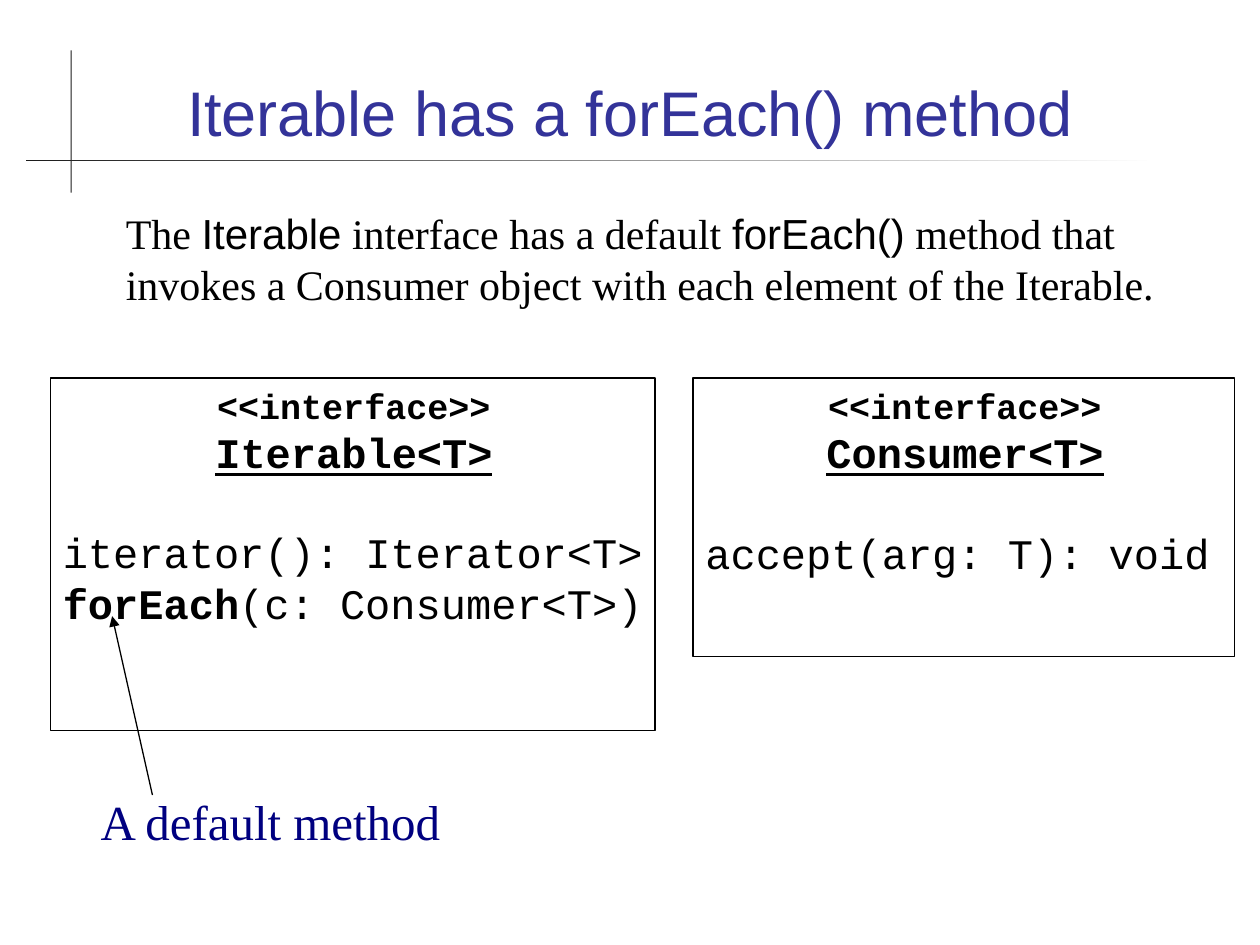
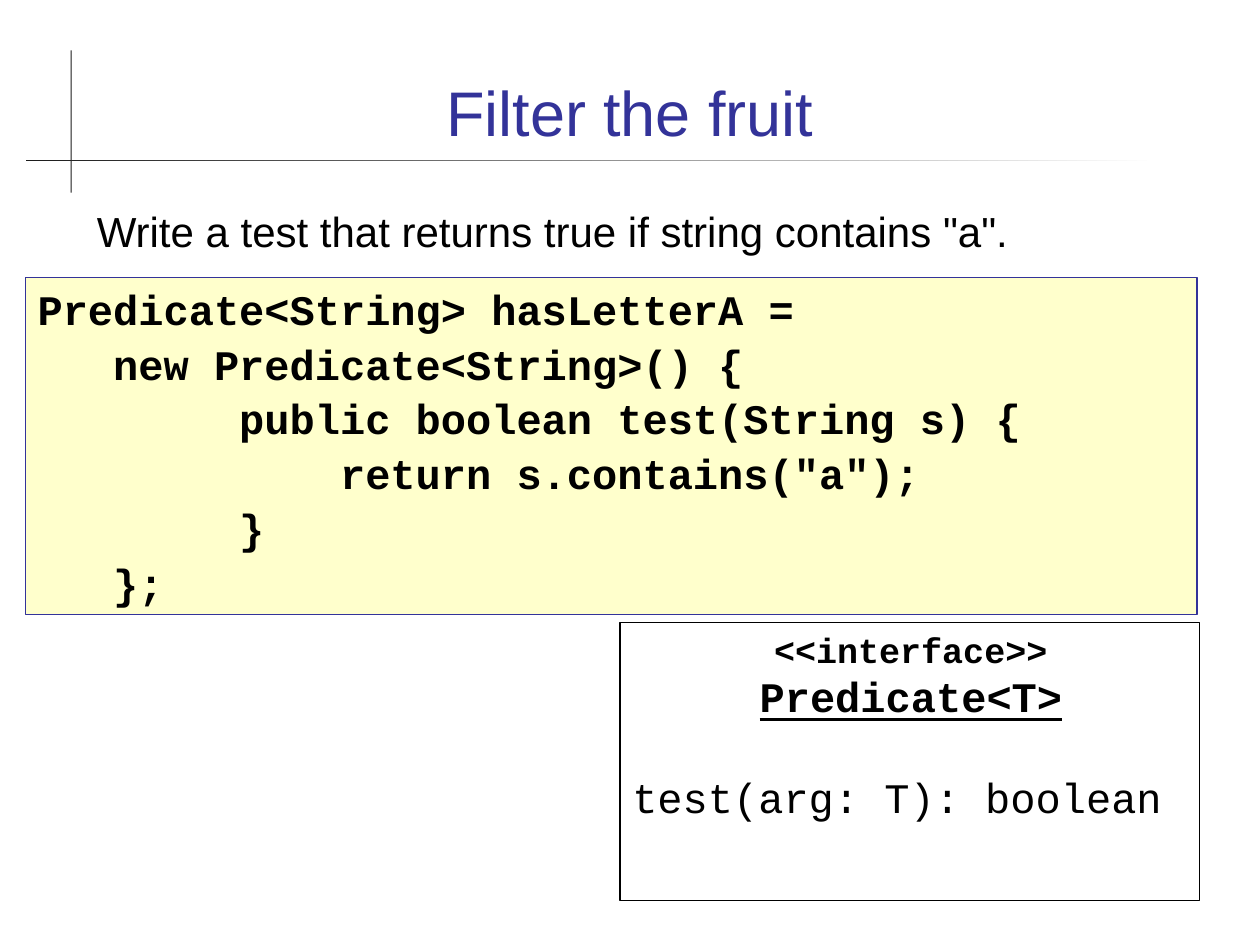
import pptx
import pptx.util
import pptx.dml.color
import pptx.enum.text
import pptx.enum.shapes
import pptx.oxml.ns
import lxml.etree

px = 9144  # one px is a hundredth of an inch
Pt = pptx.util.Pt
qn = pptx.oxml.ns.qn
rect = pptx.enum.shapes.MSO_SHAPE.RECTANGLE
left = pptx.enum.text.PP_ALIGN.LEFT
mid = pptx.enum.text.PP_ALIGN.CENTER
top = pptx.enum.text.MSO_ANCHOR.TOP
base = pptx.enum.text.MSO_ANCHOR.BOTTOM

sans, mono, serif = "Arial", "Courier New", "Times New Roman"
black, dark, white = "000000", "1C1C1C", "FFFFFF"
blue, navy, cream = "333399", "000080", "FFFFCC"


def tone(code):
    return pptx.dml.color.RGBColor.from_string(code)


def write(frame, paras, font, size, color, align=left, anchor=top):
    """Each paragraph is (style, runs); each run is (text, style)."""
    frame.word_wrap = True
    frame.auto_size = pptx.enum.text.MSO_AUTO_SIZE.NONE
    frame.vertical_anchor = anchor
    frame.margin_left = frame.margin_right = 10 * px
    frame.margin_top = frame.margin_bottom = 5 * px
    for i, (style, runs) in enumerate(paras):
        para = frame.paragraphs[0] if i == 0 else frame.add_paragraph()
        para.alignment = style.get("align", align)
        para.line_spacing = 1.0
        para.space_before = Pt(style.get("gap", 0))
        for text, look in runs:
            run = para.add_run()
            run.text = text
            run.font.name = look.get("font", font)
            run.font.size = Pt(look.get("size", size))
            run.font.bold = look.get("bold", False)
            run.font.underline = look.get("under", False)
            run.font.color.rgb = tone(color)


deck = pptx.Presentation()
deck.slide_width, deck.slide_height = 1000 * px, 750 * px

# Shared title and crossed rules
slides = []
for title in ("Iterable has a forEach() method", "Filter the fruit"):
    slide = deck.slides.add_slide(deck.slide_layouts[5])
    slides.append(slide)
    for x, y, w, h in ((56, 40, 1, 113), (21, 127, 897, 1)):
        rule = slide.shapes.add_shape(rect, x * px, y * px, w * px, h * px)
        rule.shadow.inherit = False
        rule.line.fill.background()
        if h > w:
            rule.fill.solid()
            rule.fill.fore_color.rgb = tone(dark)
        else:
            rule.fill.gradient()
            rule.fill.gradient_angle = 180
            for stop, code in zip(rule.fill.gradient_stops, (white, dark)):
                stop.color.rgb = tone(code)
    head = slide.shapes.title
    head.left, head.top, head.width, head.height = 67 * px, 28 * px, 866 * px, 95 * px
    write(head.text_frame, [({}, [(title, {})])], sans, 36, blue, mid, base)
first, last = slides

# Interface boxes
bold = {"bold": True}
cards = (
    (first, 40, 300, 480, 280, "Iterable<T>",
     [[("iterator(): Iterator<T>", {})], [("forEach", bold), ("(c: Consumer<T>)", {})]]),
    (first, 550, 300, 430, 221, "Consumer<T>", [[("accept(arg: T): void", {})]]),
    (last, 492, 494, 460, 221, "Predicate<T>", [[("test(arg: T): boolean", {})]]),
)
for slide, x, y, w, h, name, rows in cards:
    card = slide.shapes.add_shape(rect, x * px, y * px, w * px, h * px)
    card.shadow.inherit = False
    card.fill.background()
    card.line.color.rgb = tone(black)
    card.line.width = Pt(0.75)
    paras = [
        ({"align": mid}, [("<<interface>>", {"size": 20, "bold": True})]),
        ({"align": mid}, [(name, {"bold": True, "under": True})]),
    ]
    for i, runs in enumerate(rows):
        paras.append(({"gap": 0 if i else 28.8}, runs))
    write(card.text_frame, paras, mono, 24, black)
    card.text_frame.margin_right = 8 * px  # room for the widest row

# Plain text
intro = [
    ("The ", {}),
    ("Iterable", {"font": sans}),
    (" interface has a default ", {}),
    ("forEach()", {"font": sans}),
    (" method that invokes a Consumer object with each element of the Iterable.", {}),
]
task = [('Write a test that returns true if string contains "a".', {})]
notes = (
    (first, 90, 160, 870, 530, intro, serif, 24, black),
    (first, 70, 623, 680, 57, [("A default method", {})], serif, 28, navy),
    (last, 67, 158, 906, 52, task, sans, 24, black),
)
for slide, x, y, w, h, runs, font, size, color in notes:
    note = slide.shapes.add_textbox(x * px, y * px, w * px, h * px)
    write(note.text_frame, [({}, runs)], font, size, color)

# Arrow from the remark to forEach
arrow = first.shapes.add_connector(
    pptx.enum.shapes.MSO_CONNECTOR.STRAIGHT, 121 * px, 631 * px, 89 * px, 489 * px)
arrow.line.color.rgb = tone(black)
arrow.line.width = Pt(0.75)
lxml.etree.SubElement(arrow.line._get_or_add_ln(), qn("a:tailEnd"), type="triangle")
lxml.etree.SubElement(arrow._element.spPr, qn("a:effectLst"))

# Code panel
code = """Predicate<String> hasLetterA =
   new Predicate<String>() {
        public boolean test(String s) {
            return s.contains("a");
        }
   };"""
panel = last.shapes.add_shape(rect, 20 * px, 220 * px, 930 * px, 268 * px)
panel.shadow.inherit = False
panel.fill.solid()
panel.fill.fore_color.rgb = tone(cream)
panel.line.color.rgb = tone(blue)
panel.line.width = Pt(0.75)
paras = [({"gap": 2.5 if i else 0}, [(row, bold)]) for i, row in enumerate(code.split("\n"))]
write(panel.text_frame, paras, mono, 24, black)

deck.save("out.pptx")
